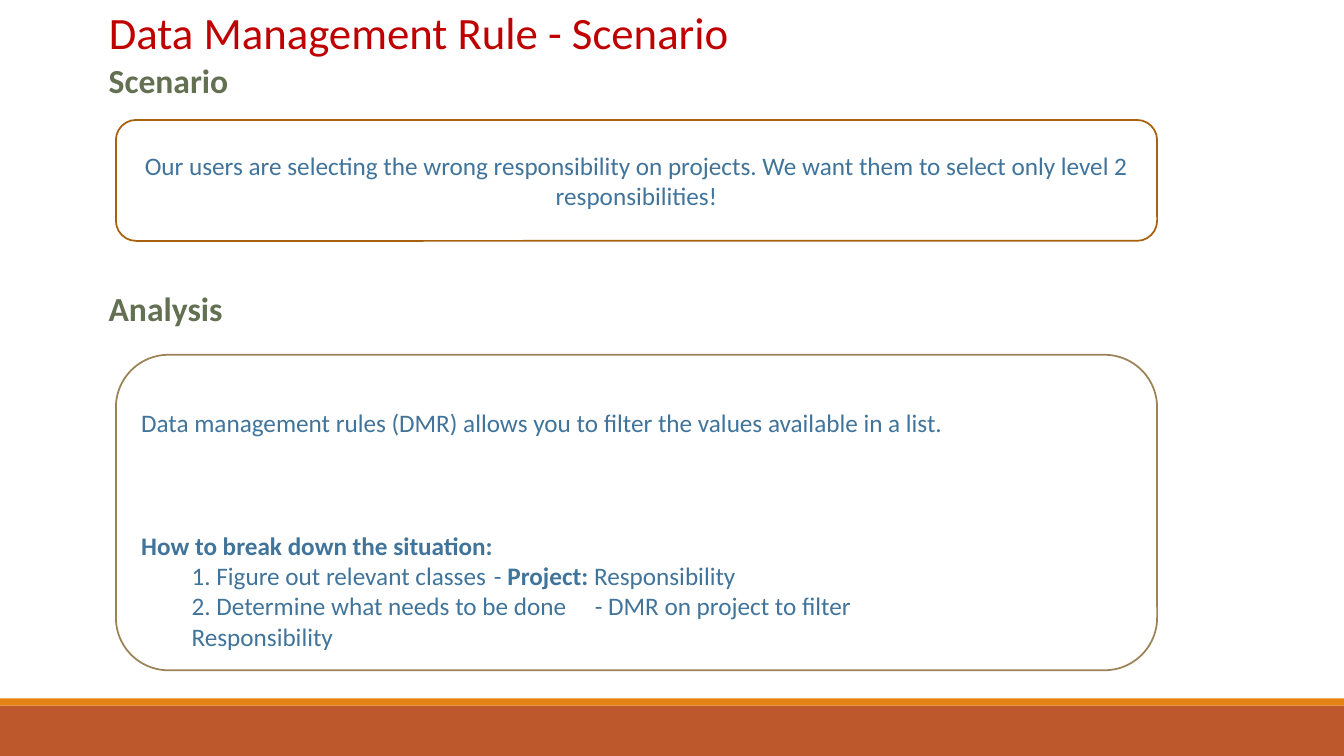
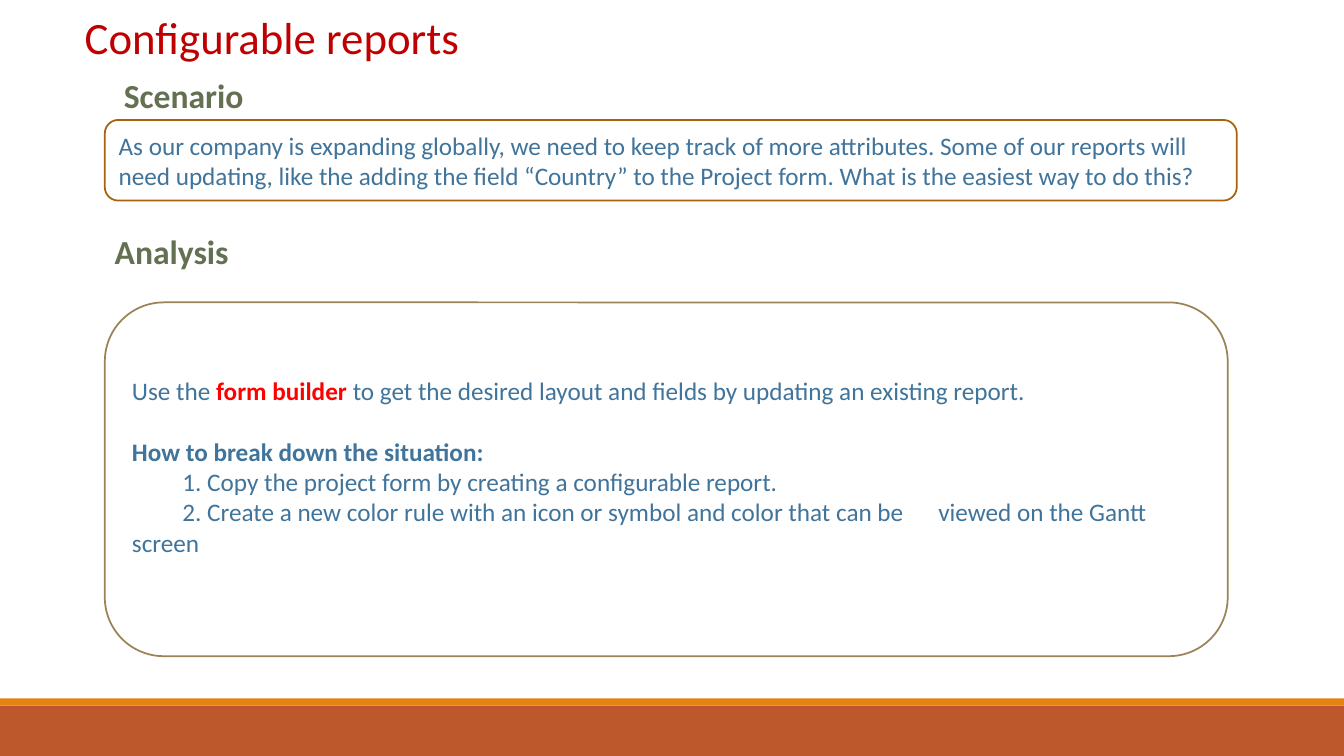
from dataclasses import dataclass

from lxml import etree
from pptx import Presentation
from pptx import util as u
from pptx.dml.color import RGBColor
from pptx.enum import shapes, text
from pptx.oxml.ns import qn

COLUMNS, ROWS = 160, 90
CELL = u.Inches(7.5) // ROWS
STEP_INDENT = u.Inches(0.5)

WHITE = RGBColor(0xFF, 0xFF, 0xFF)
RUST = RGBColor(0xBD, 0x58, 0x2C)
ORANGE = RGBColor(0xE4, 0x83, 0x12)
CRIMSON = RGBColor(0xC0, 0x00, 0x00)
RED = RGBColor(0xFF, 0x00, 0x00)
OLIVE = RGBColor(0x63, 0x70, 0x52)
BLUE = RGBColor(0x40, 0x74, 0x9B)
BROWN = RGBColor(0xA9, 0x61, 0x0D)
KHAKI = RGBColor(0x9B, 0x83, 0x57)

TITLE_FONT = {"name": "Calibri", "size": u.Pt(32), "bold": False}
HEADING_FONT = {"name": "Calibri", "size": u.Pt(24), "bold": True}
BODY_FONT = {"name": "Calibri", "size": u.Pt(18), "bold": False}

LEFT, CENTER = text.PP_ALIGN.LEFT, text.PP_ALIGN.CENTER
TOP, MIDDLE = text.MSO_ANCHOR.TOP, text.MSO_ANCHOR.MIDDLE


@dataclass(frozen=True)
class Area:
    """A rectangle counted in grid columns and rows."""
    column: float
    row: float
    columns: float
    rows: float

    def lengths(self) -> list[int]:
        return [round(n * CELL) for n in (self.column, self.row, self.columns, self.rows)]


@dataclass(frozen=True)
class Span:
    words: str
    bold: bool = False
    color: RGBColor = BLUE


@dataclass(frozen=True)
class Line:
    spans: tuple[Span, ...]
    space_before: float = 0
    step: bool = False
    tab: float = 0  # inches from the text edge


@dataclass(frozen=True)
class Card:
    area: Area
    outline: RGBColor
    lines: tuple[Line, ...]
    align: text.PP_ALIGN = LEFT
    anchor: text.MSO_ANCHOR = MIDDLE
    top_margin: float = 0.05


@dataclass(frozen=True)
class Lesson:
    title: str
    title_area: Area
    scenario_heading: Area
    scenario: Card
    analysis_heading: Area
    analysis: Card


def breakdown_heading(space_before: float) -> Line:
    return Line((Span("How to break down the situation:", bold=True),), space_before)


LESSONS = (
    Lesson(
        "Data Management Rule - Scenario", Area(11.76, 0, 94.56, 7.68),
        Area(11.76, 6.6, 16.8, 6),
        Card(Area(13.8, 14.28, 123.96, 14.4), BROWN, (
            Line((Span("Our users are selecting the wrong responsibility on projects. "
                       "We want them to select only level 2 responsibilities!"),)),
        ), align=CENTER),
        Area(11.76, 33.72, 16.8, 6),
        Card(Area(13.8, 42.24, 123.96, 37.56), KHAKI, (
            Line((Span("Data management rules (DMR) allows you to filter the values "
                       "available in a list."),)),
            breakdown_heading(66),
            Line((Span("1. Figure out relevant classes\t- "), Span("Project:", bold=True),
                  Span(" Responsibility")), step=True, tab=4),
            Line((Span("2. Determine what needs to be done\t- DMR on project to filter"
                       "\v\tResponsibility"),), step=True, tab=4.5),
        ), anchor=TOP, top_margin=0.37),
    ),
    Lesson(
        "Configurable reports", Area(8.88, 0.6, 48.72, 7.68),
        Area(13.56, 8.28, 16.8, 6),
        Card(Area(12.48, 14.28, 134.76, 9.6), BROWN, (
            Line((Span("As our company is expanding globally, we need to keep track of more "
                       "attributes. Some of our reports will need updating, like the adding "
                       "the field “Country” to the Project form. What is the easiest way to "
                       "do this?"),)),
        )),
        Area(12.48, 26.88, 16.8, 6),
        Card(Area(12.48, 36, 133.68, 42.12), KHAKI, (
            Line((Span("Use the "), Span("form builder ", bold=True, color=RED),
                  Span("to get the desired layout and fields by updating an existing "
                       "report."))),
            breakdown_heading(22),
            Line((Span("1. Copy the project form by creating a configurable report."),),
                 step=True),
            Line((Span("2. Create a new color rule with an icon or symbol and color that "
                       "can be \tviewed on the Gantt screen"),), step=True, tab=8),
        ), anchor=TOP, top_margin=0.55),
    ),
)


def apply(target, values: dict) -> None:
    for name, value in values.items():
        setattr(target, name, value)


def write(paragraph, span: Span, font: dict) -> None:
    """Append a span; a vertical tab in it becomes a line break."""
    for index, part in enumerate(span.words.split("\v")):
        if index:
            paragraph.add_line_break()
        run = paragraph.add_run()
        run.text = part
        apply(run.font, font | {"bold": font["bold"] or span.bold})
        run.font.color.rgb = span.color


def indent_step(paragraph, tab: float) -> None:
    properties = paragraph._p.get_or_add_pPr()
    properties.set("marL", "0")
    properties.set("indent", str(STEP_INDENT))
    if tab:
        stops = etree.SubElement(properties, qn("a:tabLst"))
        for position in (STEP_INDENT, u.Inches(tab)):
            etree.SubElement(stops, qn("a:tab"), pos=str(position), algn="l")


def add_panel(slide, kind, area: Area, fill: RGBColor, outline: RGBColor | None = None):
    panel = slide.shapes.add_shape(kind, *area.lengths())
    panel.shadow.inherit = False
    panel.fill.solid()
    panel.fill.fore_color.rgb = fill
    if outline is None:
        panel.line.fill.background()
    else:
        panel.line.color.rgb = outline
        panel.line.width = u.Pt(1.25)
    return panel


def add_title(slide, words: str, area: Area) -> None:
    title = slide.shapes.title
    apply(title, dict(zip(("left", "top", "width", "height"), area.lengths())))
    apply(title.text_frame, {"vertical_anchor": TOP, "word_wrap": True,
                             "auto_size": text.MSO_AUTO_SIZE.NONE})
    paragraph = title.text_frame.paragraphs[0]
    paragraph.alignment = LEFT
    write(paragraph, Span(words, color=CRIMSON), TITLE_FONT)


def add_heading(slide, words: str, area: Area) -> None:
    frame = slide.shapes.add_textbox(*area.lengths()).text_frame
    frame.word_wrap = True
    write(frame.paragraphs[0], Span(words, color=OLIVE), HEADING_FONT)


def add_card(slide, card: Card) -> None:
    panel = add_panel(slide, shapes.MSO_SHAPE.ROUNDED_RECTANGLE, card.area, WHITE, card.outline)
    frame = panel.text_frame
    apply(frame, {"word_wrap": True, "vertical_anchor": card.anchor,
                  "margin_top": u.Inches(card.top_margin)})
    for index, line in enumerate(card.lines):
        paragraph = frame.add_paragraph() if index else frame.paragraphs[0]
        if line.step:
            indent_step(paragraph, line.tab)
        paragraph.alignment = card.align
        if line.space_before:
            paragraph.space_before = u.Pt(line.space_before)
        for span in line.spans:
            write(paragraph, span, BODY_FONT)


def add_master_bands(master, slide) -> None:
    """Draw the footer bands on a slide, then move them to the master."""
    bands = ((Area(0, 84, COLUMNS, 6), RUST), (Area(0, 83.16, COLUMNS, 0.84), ORANGE))
    for index, (area, color) in enumerate(bands):
        band = add_panel(slide, shapes.MSO_SHAPE.RECTANGLE, area, color)
        band.element.nvSpPr.cNvPr.id = 100 + index
        master.shapes.element.insert(2 + index, band.element)


def main() -> None:
    deck = Presentation()
    deck.slide_width, deck.slide_height = COLUMNS * CELL, ROWS * CELL
    title_only = deck.slide_layouts.get_by_name("Title Only")
    for index, lesson in enumerate(LESSONS):
        slide = deck.slides.add_slide(title_only)
        if index == 0:
            add_master_bands(deck.slide_master, slide)
        add_title(slide, lesson.title, lesson.title_area)
        add_heading(slide, "Scenario", lesson.scenario_heading)
        add_card(slide, lesson.scenario)
        add_heading(slide, "Analysis", lesson.analysis_heading)
        add_card(slide, lesson.analysis)
    deck.save("out.pptx")


if __name__ == "__main__":
    main()
